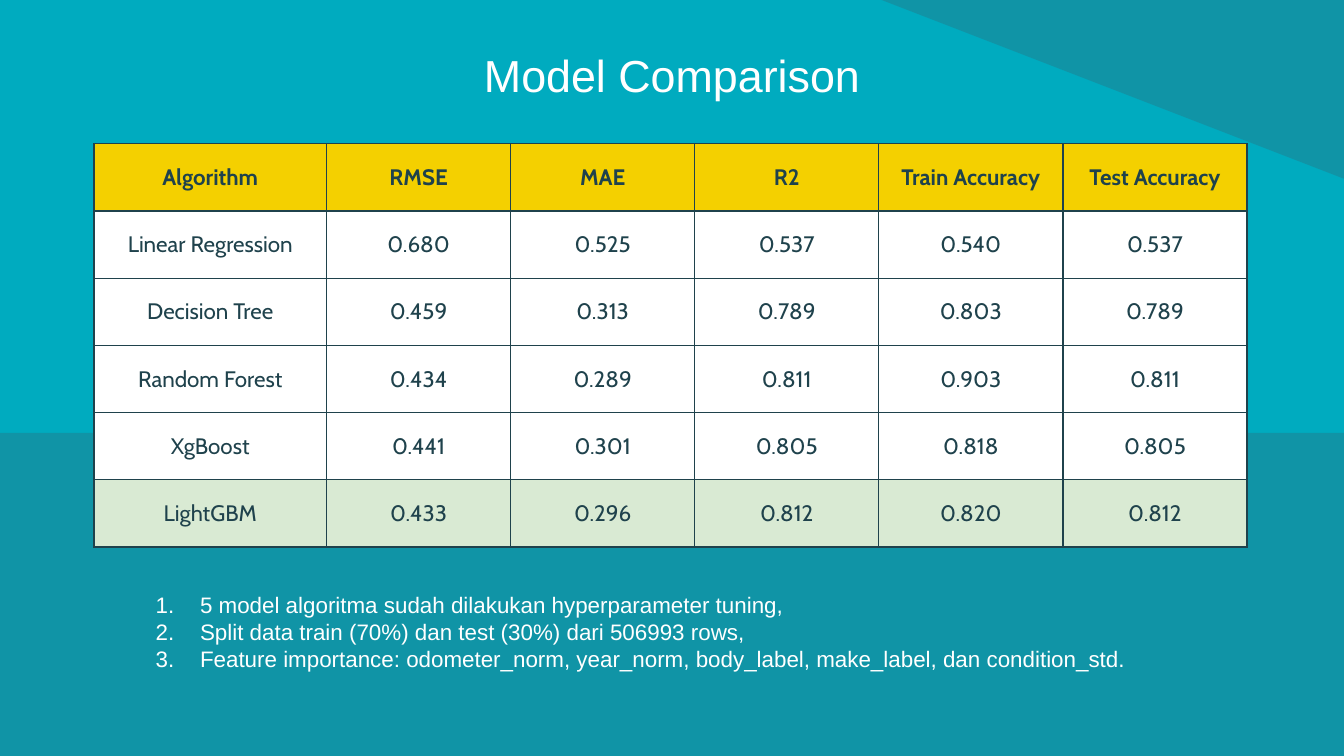
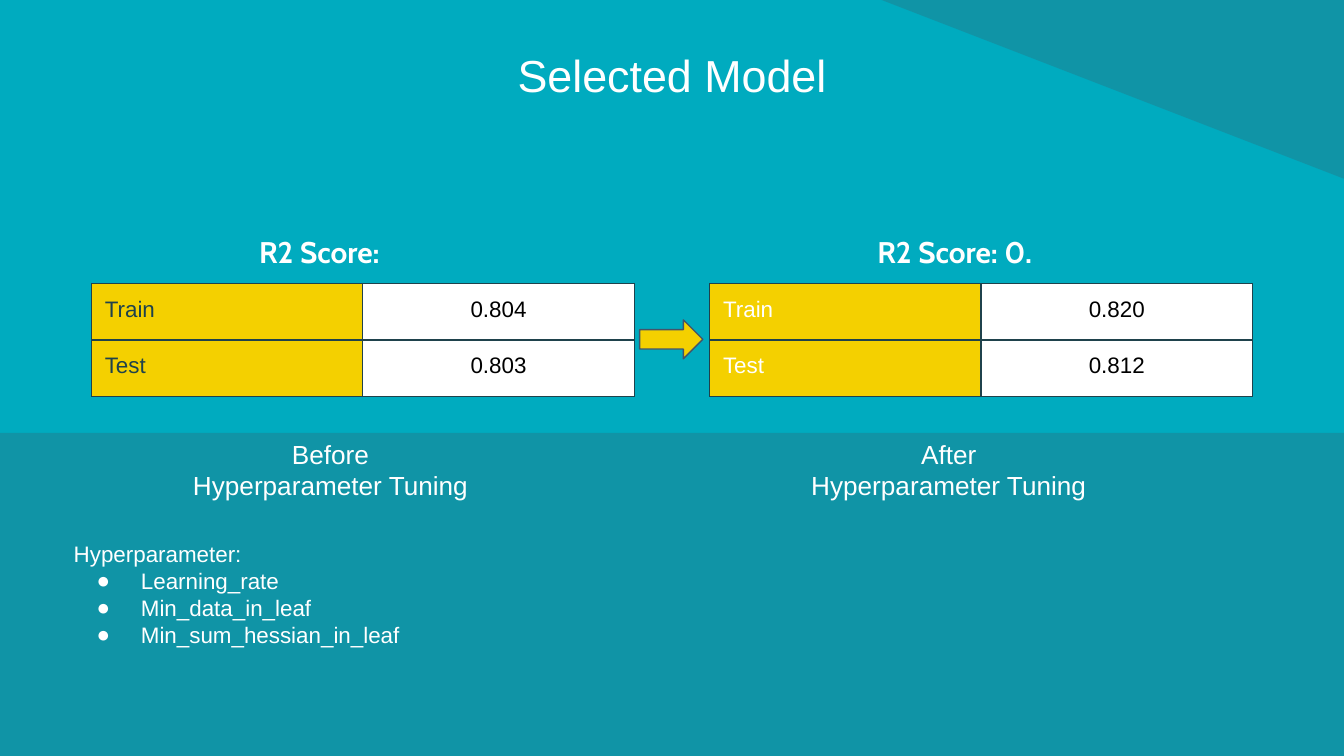
from lxml import etree
from pptx import Presentation
from pptx import util as u
from pptx.dml.color import RGBColor
from pptx.enum import shapes, text
from pptx.oxml import parse_xml
from pptx.oxml.ns import nsdecls, qn

W, H = 10, 10 * 9 / 16
SKY, SLATE, INK, YELLOW, GREEN = "00ABBF", "336574", "1F424C", "F4D000", "D9EAD3"
WHITE, BLACK, OUTLINE = "FFFFFF", "000000", "44546A"
LEFT, CENTER = text.PP_ALIGN.LEFT, text.PP_ALIGN.CENTER
TOP, MIDDLE = text.MSO_ANCHOR.TOP, text.MSO_ANCHOR.MIDDLE
PADDING = {f"margin_{side}": u.Inches(0.1) for side in ("left", "top", "right", "bottom")}
NUMBER = '<a:buAutoNum {} type="arabicPeriod"/>'
DOT = '<a:buChar {} char="●"/>'


def color(fmt, value):
    """Give a fill, or the fill of a line, a solid hex colour."""
    fmt.solid()
    fmt.fore_color.rgb = RGBColor.from_string(value)


def write(frame, lines, size=12, hue=WHITE, face="Arial", bold=False, align=LEFT, marker=None, plain=0):
    """Fill a text frame; lines after the first `plain` ones carry the marker."""
    for i, line in enumerate(lines):
        paragraph = frame.paragraphs[0] if i == 0 else frame.add_paragraph()
        paragraph.alignment = align
        if marker and i >= plain:
            props = paragraph._p.get_or_add_pPr()
            props.set("marL", str(u.Inches(0.5)))
            props.set("indent", str(-u.Inches(0.33)))
            bullet_hue = etree.SubElement(props, qn("a:buClr"))
            etree.SubElement(bullet_hue, qn("a:srgbClr"), val=WHITE)
            etree.SubElement(props, qn("a:buFont"), typeface="Arial")
            props.append(parse_xml(marker.format(nsdecls("a"))))
        run = paragraph.add_run()
        run.text = line
        for name, value in {"size": u.Pt(size), "name": face, "bold": bold}.items():
            setattr(run.font, name, value)
        color(run.font.fill, hue)


prs = Presentation()
prs.slide_width, prs.slide_height = u.Inches(W), u.Inches(H)
color(prs.slide_master.background.fill, SKY)
blank = prs.slide_layouts[6]
comparison, selected = (prs.slides.add_slide(blank) for _ in range(2))

# Backdrop of both slides
band_top = 3.22
backdrop = [
    (shapes.MSO_SHAPE.RECTANGLE, (0, band_top, W, H - band_top), 0),
    (shapes.MSO_SHAPE.RIGHT_TRIANGLE, (6.56, 0, W - 6.56, 1.33), 180),
]
for slide in (comparison, selected):
    for kind, place, turn in backdrop:
        tint = slide.shapes.add_shape(kind, *map(u.Inches, place))
        tint.rotation = turn
        tint.shadow.inherit = False
        tint.line.fill.background()
        color(tint.fill, SLATE)
        etree.SubElement(tint._element.xpath(".//a:srgbClr")[0], qn("a:alpha"), val="32000")

# Text, as (slide, place, anchor, lines, format)
title_place = (0.78, 0.24, W - 2 * 0.78, 0.63)
title_style = {"size": 24, "align": CENTER}
notes = [
    "5 model algoritma sudah dilakukan hyperparameter tuning,",
    "Split data train (70%) dan test (30%) dari 506993 rows,",
    "Feature importance: odometer_norm, year_norm, body_label, make_label, dan condition_std.",
]
hyperparameters = ["Hyperparameter:", "Learning_rate", "Min_data_in_leaf", "Min_sum_hessian_in_leaf"]
captions = [
    (comparison, title_place, MIDDLE, ["Model Comparison"], title_style),
    (selected, title_place, MIDDLE, ["Selected Model"], title_style),
    (comparison, (0.89, 4.3, 8.6, 0.81), TOP, notes, {"marker": NUMBER}),
    (selected, (0.45, 3.92, 2.68, 1.01), TOP, hyperparameters, {"marker": DOT, "plain": 1}),
]

# Tables, as (slide, left, top, column widths, row height, anchor, rows),
# with each row a list of (words, fill, format)
scores = [
    ("Algorithm", "RMSE", "MAE", "R2", "Train Accuracy", "Test Accuracy"),
    ("Linear Regression", "0.680", "0.525", "0.537", "0.540", "0.537"),
    ("Decision Tree", "0.459", "0.313", "0.789", "0.803", "0.789"),
    ("Random Forest", "0.434", "0.289", "0.811", "0.903", "0.811"),
    ("XgBoost", "0.441", "0.301", "0.805", "0.818", "0.805"),
    ("LightGBM", "0.433", "0.296", "0.812", "0.820", "0.812"),
]
score_fills = [YELLOW] + [WHITE] * 4 + [GREEN]
score_rows = [
    [(word, fill, {"hue": INK, "face": "Cabin", "bold": fill == YELLOW, "align": CENTER}) for word in row]
    for row, fill in zip(scores, score_fills)
]
tables = [(comparison, 0.7, 1.07, [1.73] + [1.37] * 5, 0.5, MIDDLE, score_rows)]

# The two sides of the tuning step, one pitch apart
pitch = 4.6
stages = [
    ("Before", "R2 Score:", INK, ("0.804", "0.803")),
    ("After", "R2 Score: 0.", WHITE, ("0.820", "0.812")),
]
for i, (stage, heading, label_hue, (train, test)) in enumerate(stages):
    shift = i * pitch
    captions += [
        (selected, (1.83 + shift, 1.64, 1.74, 0.47), TOP, [heading],
         {"size": 16, "face": "Cabin", "bold": True}),
        (selected, (1.26 + shift, 3.16, 2.4, 0.67), TOP, [stage, "Hyperparameter Tuning"],
         {"size": 14, "align": CENTER}),
    ]
    stage_rows = [
        [(label, YELLOW, {"hue": label_hue}), (score, WHITE, {"hue": BLACK, "align": CENTER})]
        for label, score in (("Train", train), ("Test", test))
    ]
    tables.append((selected, 0.68 + shift, 2.11, [2.02] * 2, 0.42, TOP, stage_rows))

for slide, left, top, widths, row_height, anchor, rows in tables:
    place = (left, top, sum(widths), row_height * len(rows))
    grid = slide.shapes.add_table(len(rows), len(widths), *map(u.Inches, place)).table
    grid.first_row = grid.horz_banding = False
    for column, width in zip(grid.columns, widths):
        column.width = u.Inches(width)
    for r, row in enumerate(rows):
        grid.rows[r].height = u.Inches(row_height)
        for c, (word, fill, style) in enumerate(row):
            cell = grid.cell(r, c)
            for name, value in {**PADDING, "vertical_anchor": anchor}.items():
                setattr(cell, name, value)
            for edge in ("a:lnL", "a:lnR", "a:lnT", "a:lnB"):
                border = etree.SubElement(cell._tc.get_or_add_tcPr(), qn(edge), w=str(u.Pt(0.75)))
                paint = etree.SubElement(border, qn("a:solidFill"))
                etree.SubElement(paint, qn("a:srgbClr"), val=INK)
            color(cell.fill, fill)
            write(cell.text_frame, [word], **style)

for slide, place, anchor, lines, style in captions:
    frame = slide.shapes.add_textbox(*map(u.Inches, place)).text_frame
    for name, value in {**PADDING, "vertical_anchor": anchor, "word_wrap": True}.items():
        setattr(frame, name, value)
    write(frame, lines, **style)

arrow = selected.shapes.add_shape(
    shapes.MSO_SHAPE.RIGHT_ARROW, *map(u.Inches, (4.76, 2.38, 0.47, 0.29)))
arrow.shadow.inherit = False
color(arrow.fill, YELLOW)
color(arrow.line.fill, OUTLINE)
arrow.line.width = u.Pt(0.75)

prs.save("out.pptx")
